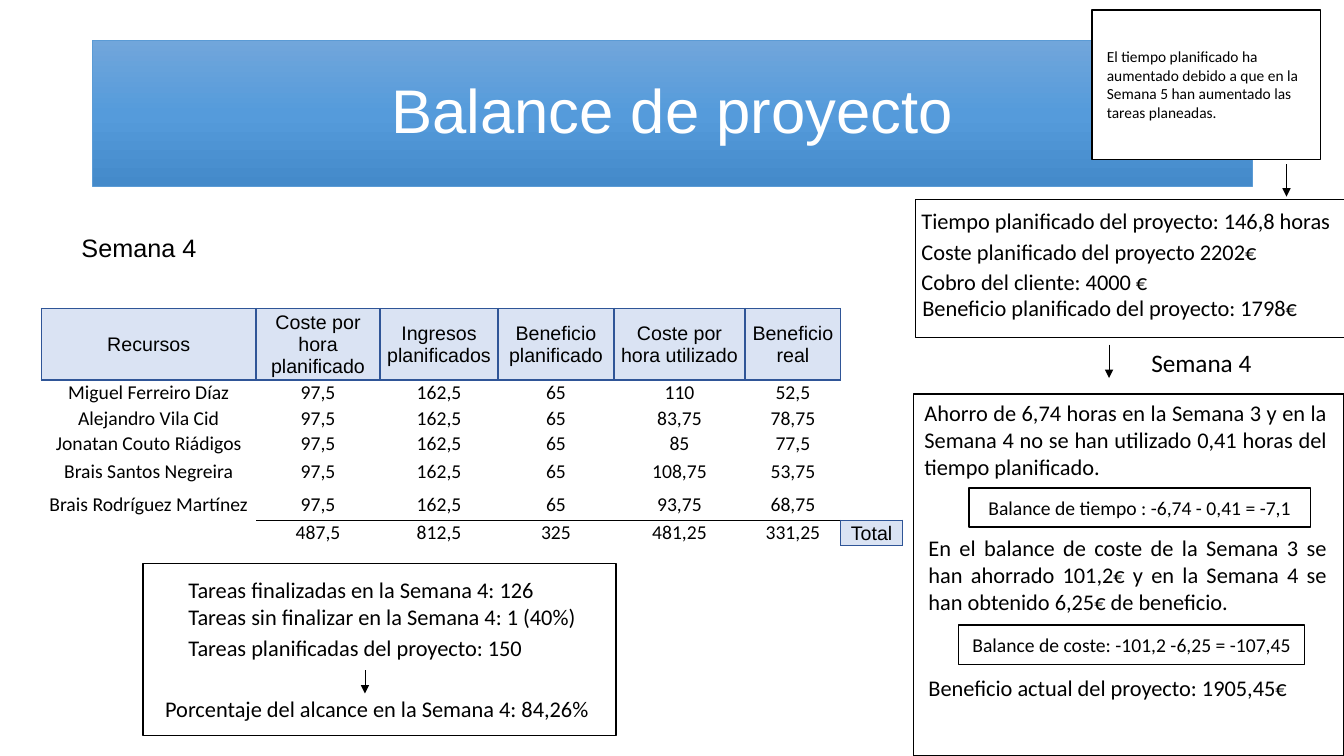
import copy

import pptx
import pptx.util
import pptx.dml.color
import pptx.enum.shapes
import pptx.enum.text
import pptx.oxml
import pptx.oxml.ns

PX = 9144
RGBColor = pptx.dml.color.RGBColor
Pt = pptx.util.Pt
ALIGN = pptx.enum.text.PP_ALIGN
MIDDLE = pptx.enum.text.MSO_ANCHOR.MIDDLE
qn = pptx.oxml.ns.qn

BLACK = RGBColor(0x00, 0x00, 0x00)
WHITE = RGBColor(0xFF, 0xFF, 0xFF)
PALE_BLUE = RGBColor(0xDA, 0xE3, 0xF3)
NAVY = RGBColor(0x2F, 0x55, 0x97)
TITLE_LINE = RGBColor(0x5B, 0x9B, 0xD5)
TITLE_STOPS = [RGBColor(0x71, 0xA6, 0xDB), RGBColor(0x55, 0x9B, 0xDB), RGBColor(0x44, 0x8A, 0xCA)]
NO_STYLE = "{2D5ABB26-0587-4C30-8999-92F81FD0307C}"

HEADERS = ["Recursos", "Coste por hora planificado", "Ingresos planificados",
           "Beneficio planificado", "Coste por hora utilizado", "Beneficio real", ""]
PLANNED = ["97,5", "162,5", "65"]
PEOPLE = [
    ("Miguel Ferreiro Díaz", "110", "52,5"),
    ("Alejandro Vila Cid", "83,75", "78,75"),
    ("Jonatan Couto Riádigos", "85", "77,5"),
    ("Brais Santos Negreira", "108,75", "53,75"),
    ("Brais Rodríguez Martínez", "93,75", "68,75"),
]
TOTALS = ["", "487,5", "812,5", "325", "481,25", "331,25", "Total"]
COLUMNS = [213, 123, 117, 115, 130, 95, 61]
ROWS = [70, 25, 25, 25, 32, 32, 25]


def emu(*lengths):
    """Turn px lengths into EMU."""
    return [length * PX for length in lengths]


def write(tf, lines, size, font="Calibri", color=BLACK, align=ALIGN.LEFT):
    """Write one paragraph per line into a text frame."""
    tf.word_wrap = True
    for i, line in enumerate(lines):
        p = tf.add_paragraph() if i else tf.paragraphs[0]
        p.alignment = align
        r = p.add_run()
        r.text = line
        r.font.size = Pt(size)
        r.font.name = font
        r.font.color.rgb = color


def add_label(s, x, y, w, h, *lines, size=16, font="Calibri", align=ALIGN.LEFT):
    """Add a text box."""
    tb = s.shapes.add_textbox(*emu(x, y, w, h))
    write(tb.text_frame, lines, size, font, align=align)


def add_box(s, x, y, w, h, text=None):
    """Add a white box with a black outline and optional centred text."""
    sp = s.shapes.add_shape(pptx.enum.shapes.MSO_SHAPE.RECTANGLE, *emu(x, y, w, h))
    sp.shadow.inherit = False
    sp.fill.solid()
    sp.fill.fore_color.rgb = WHITE
    sp.line.color.rgb = BLACK
    sp.line.width = Pt(1)
    if text:
        sp.text_frame.vertical_anchor = MIDDLE
        write(sp.text_frame, [text], 14, align=ALIGN.CENTER)
    return sp


def add_arrow(s, x, y, length):
    """Add a thin arrow pointing down."""
    line = s.shapes.add_connector(pptx.enum.shapes.MSO_CONNECTOR.STRAIGHT, *emu(x, y, x, y + length))
    line.line.color.rgb = BLACK
    line.line.width = Pt(0.5)
    ln = line.line._get_or_add_ln()
    pptx.oxml.ns.qn("a:tailEnd")
    ln.append(ln.makeelement(qn("a:tailEnd"), {"type": "triangle"}))
    spPr = line._element.spPr
    spPr.append(spPr.makeelement(qn("a:effectLst"), {}))


def title_band(s, x, y, w, h):
    """Draw the gradient title band."""
    sp = add_box(s, x, y, w, h)
    sp.line.color.rgb = TITLE_LINE
    sp.line.width = Pt(0.5)
    sp.fill.gradient()
    sp.fill.gradient_angle = 270
    stops = sp._element.spPr.find(qn("a:gradFill")).find(qn("a:gsLst"))
    stops.insert(1, copy.deepcopy(stops[0]))
    for i, (stop, color) in enumerate(zip(sp.fill.gradient_stops, TITLE_STOPS)):
        stop.position = i / 2
        stop.color.rgb = color
    sp.text_frame.vertical_anchor = MIDDLE
    write(sp.text_frame, ["Balance de proyecto"], 44, "Arial", WHITE, ALIGN.CENTER)
    sp.text_frame.paragraphs[0].line_spacing = 0.9


def set_border(cell, side, color, width):
    """Draw one side (L, R, T or B) of a table cell."""
    tcPr = cell._tc.get_or_add_tcPr()
    ln = tcPr.makeelement(qn("a:ln" + side), {"w": str(Pt(width))})
    fill = ln.makeelement(qn("a:solidFill"), {})
    fill.append(fill.makeelement(qn("a:srgbClr"), {"val": str(color)}))
    ln.append(fill)
    tcPr.append(ln)


def resource_table(s, x, y):
    """Draw the table of costs and benefits per person."""
    body = [[name, *PLANNED, used, real, ""] for name, used, real in PEOPLE]
    data = [HEADERS, *body, TOTALS]
    frame = s.shapes.add_table(len(ROWS), len(COLUMNS), *emu(x, y, sum(COLUMNS), sum(ROWS)))
    table = frame.table
    table.first_row = table.horz_banding = False
    table._tbl.tblPr.find(qn("a:tableStyleId")).text = NO_STYLE
    for column, width in zip(table.columns, COLUMNS):
        column.width = width * PX
    for row, height in zip(table.rows, ROWS):
        row.height = height * PX
    last = len(ROWS) - 1
    for i, values in enumerate(data):
        for j, text in enumerate(values):
            cell = table.cell(i, j)
            cell.margin_left = cell.margin_right = cell.margin_top = PX
            cell.margin_bottom = 0
            cell.vertical_anchor = MIDDLE
            blue = (i == 0 or i == last and j == 6) and text
            if blue:
                for side in "LRTB":
                    set_border(cell, side, NAVY, 1)
            elif 1 <= j <= 5 and i >= last - 1:
                set_border(cell, "B" if i < last else "T", BLACK, 0.5)
            cell.fill.background()
            if blue or j == 0 and text:
                cell.fill.solid()
                cell.fill.fore_color.rgb = PALE_BLUE if blue else WHITE
            if text:
                write(cell.text_frame, [text], 14, "Arial" if blue else "Calibri", align=ALIGN.CENTER)
            else:
                p = cell.text_frame.paragraphs[0]
                p._p.get_or_add_endParaRPr().set("sz", "1400")


def plan_panel(s, x, y, w, h):
    """Draw the planned figures of the project."""
    add_box(s, x, y, w, h)
    add_label(s, x - 4, y + 3, 452, 37, "Tiempo planificado del proyecto: 146,8 horas")
    add_label(s, x - 4, y + 33, w, 37, "Coste planificado del proyecto 2202€")
    add_label(s, x - 4, y + 63, w, 37, "Cobro del cliente: 4000 €")
    add_label(s, x - 3, y + 89, w, 37, "Beneficio planificado del proyecto: 1798€")


def balance_panel(s, x, y, w, h):
    """Draw the time and cost balance of the week."""
    add_box(s, x, y, w, h)
    add_label(s, x + 1, y, 419, 91,
              "Ahorro de 6,74 horas en la Semana 3 y en la Semana 4 no se han utilizado "
              "0,41 horas del tiempo planificado.", align=ALIGN.JUSTIFY)
    add_box(s, x + 55, y + 93, 339, 39, "Balance de tiempo : -6,74 - 0,41 = -7,1")
    add_label(s, x + 5, y + 134, 415, 91,
              "En el balance de coste de la Semana 3 se han ahorrado 101,2€ y en la Semana 4 "
              "se han obtenido 6,25€ de beneficio.", align=ALIGN.JUSTIFY)
    add_box(s, x + 45, y + 229, 343, 39, "Balance de coste: -101,2 -6,25 = -107,45")
    add_label(s, x + 5, y + 273, 415, 37, "Beneficio actual del proyecto: 1905,45€")


def note_panel(s, x, y, w, h):
    """Draw the note on planned time."""
    add_box(s, x, y, w, h)
    add_label(s, x + 5, y + 32, w - 4, 84,
              "El tiempo planificado ha aumentado debido a que en la Semana 5 han aumentado "
              "las tareas planeadas.", size=11)


def task_panel(s, x, y, w, h):
    """Draw the task counts and the scope reached."""
    add_box(s, x, y, w, h)
    add_label(s, x + 35, y + 8, 421, 64, "Tareas finalizadas en la Semana 4: 126",
              "Tareas sin finalizar en la Semana 4: 1 (40%)")
    add_label(s, x + 35, y + 65, 372, 37, "Tareas planificadas del proyecto: 150")
    add_arrow(s, x + 220, y + 106, 23)
    add_label(s, x + 12, y + 126, 450, 37, "Porcentaje del alcance en la Semana 4: 84,26%")


def main():
    """Build and save the slide."""
    prs = pptx.Presentation()
    prs.slide_width, prs.slide_height = emu(1333, 750)
    s = prs.slides.add_slide(prs.slide_layouts[6])
    title_band(s, 92, 40, 1150, 145)
    add_label(s, 71, 226, 141, 40, "Semana 4", size=18, font="Arial")
    resource_table(s, 41, 306)
    plan_panel(s, 908, 198, 427, 137)
    add_arrow(s, 1100, 342, 33)
    add_label(s, 1132, 340, 178, 40, "Semana 4", size=18)
    balance_panel(s, 906, 391, 427, 359)
    note_panel(s, 1083, 10, 227, 148)
    add_arrow(s, 1276, 163, 32)
    task_panel(s, 142, 559, 469, 171)
    prs.save("out.pptx")


if __name__ == "__main__":
    main()
